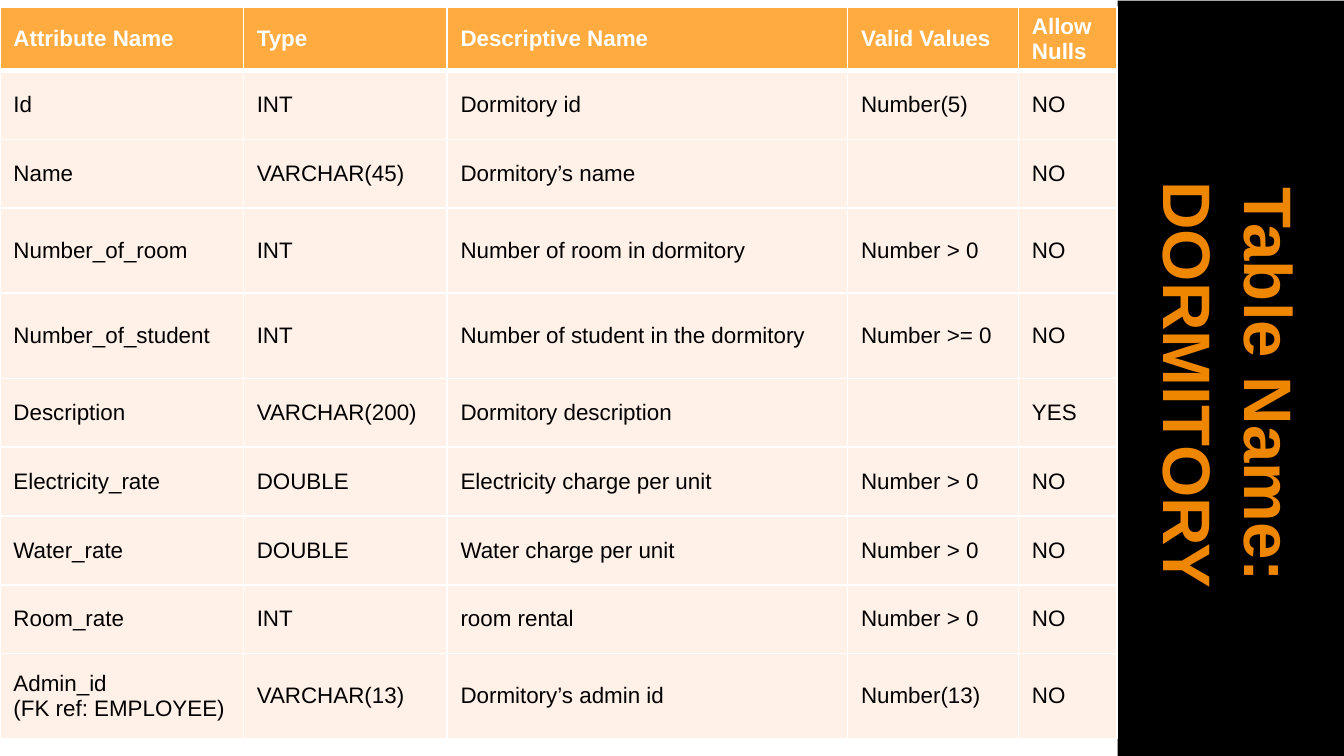
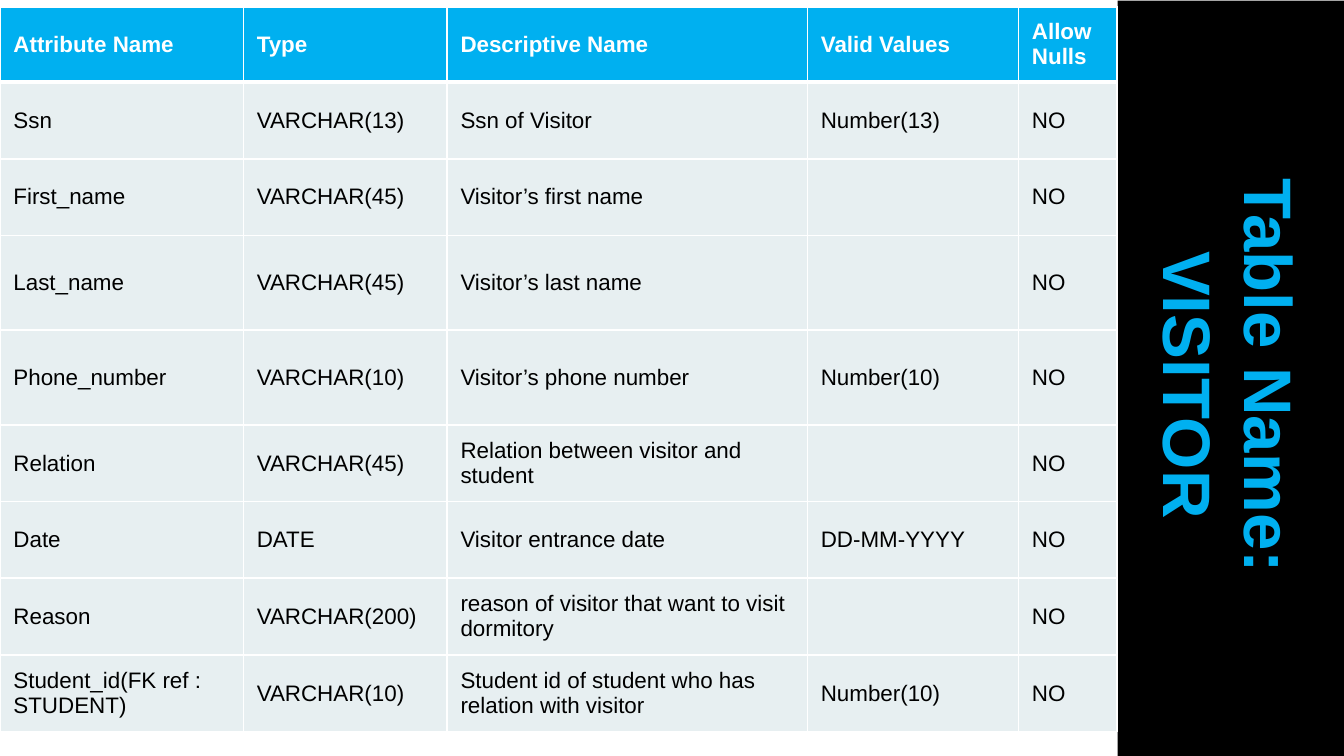
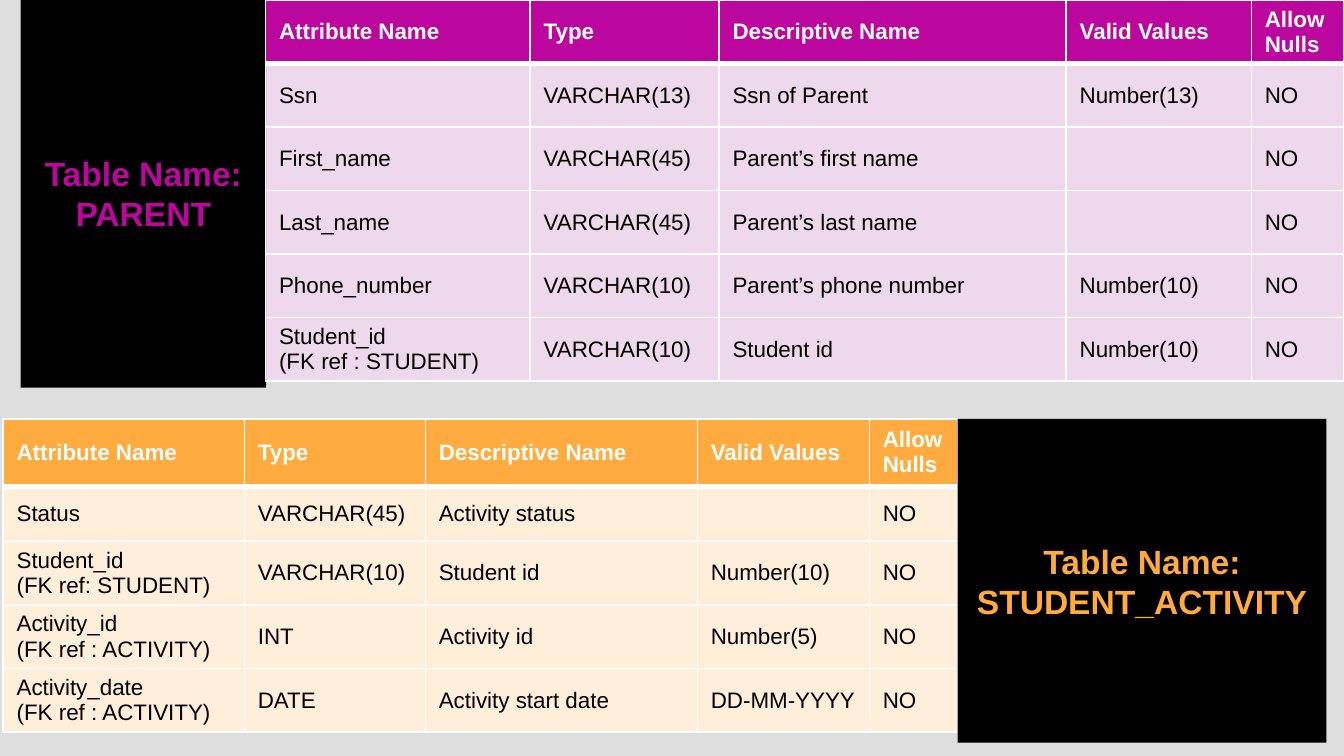
import pptx
import pptx.dml.color
import pptx.enum.shapes
import pptx.enum.text
import pptx.oxml
import pptx.oxml.ns
import pptx.util
from pptx.util import Cm

RGB = pptx.dml.color.RGBColor.from_string
ANCHOR = pptx.enum.text.MSO_ANCHOR
ALIGN = pptx.enum.text.PP_ALIGN
NS = pptx.oxml.ns.nsdecls("a")

THEME = {
    "font": "Arial",
    "white": "FFFFFF",
    "black": "000000",
    "grey": "DEDEDE",
    "dark_orange": "EF8600",
    "orange": "FFAB40",
    "blue": "00B0F0",
    "purple": "BC079F",
    "peach": "FFF1E8",
    "ice": "E7EFF1",
    "pink": "FED3F8",
    "cream": "FFEED9",
    "cell_size": 12,
    "band_size": 36,
    "box_size": 18,
    "thin": 1,
    "thick": 3,
    "outline": 0.75,
}

HEADER = ["Attribute Name", "Type", "Descriptive Name", "Valid Values", "Allow Nulls"]
BAND = (16, 5.13, 14.53, 4.29)

SLIDES = [
    {
        "bg": "white",
        "tables": [
            {
                "title": "Table Name: DORMITORY",
                "box": BAND, "rotation": 90, "size": "band_size", "title_color": "dark_orange",
                "head": "orange", "body": "peach", "alpha": 100,
                "at": (0, 0.13),
                "cols": [4.6, 3.85, 7.57, 3.23, 1.86],
                "heights": [0.91, 1.3, 1.3, 1.61, 1.61, 1.3, 1.3, 1.3, 1.3, 1.61],
                "rows": [
                    ["Id", "INT", "Dormitory id", "Number(5)", "NO"],
                    ["Name", "VARCHAR(45)", "Dormitory’s name", "", "NO"],
                    ["Number_of_room", "INT", "Number of room in dormitory", "Number > 0", "NO"],
                    ["Number_of_student", "INT", "Number of student in the dormitory", "Number >= 0", "NO"],
                    ["Description", "VARCHAR(200)", "Dormitory description", "", "YES"],
                    ["Electricity_rate", "DOUBLE", "Electricity charge per unit", "Number > 0", "NO"],
                    ["Water_rate", "DOUBLE", "Water charge per unit", "Number > 0", "NO"],
                    ["Room_rate", "INT", "room rental", "Number > 0", "NO"],
                    ["Admin_id\n(FK ref: EMPLOYEE)", "VARCHAR(13)", "Dormitory’s admin id", "Number(13)", "NO"],
                ],
            },
        ],
    },
    {
        "bg": "white",
        "tables": [
            {
                "title": "Table Name: \nVISITOR",
                "box": BAND, "rotation": 90, "size": "band_size", "title_color": "blue",
                "head": "blue", "body": "ice", "alpha": 100,
                "at": (0, 0.13),
                "cols": [4.6, 3.85, 6.81, 3.99, 1.86],
                "heights": [1.42, 1.45, 1.45, 1.79, 1.79, 1.45, 1.45, 1.45, 1.45],
                "rows": [
                    ["Ssn", "VARCHAR(13)", "Ssn of Visitor", "Number(13)", "NO"],
                    ["First_name", "VARCHAR(45)", "Visitor’s first name", "", "NO"],
                    ["Last_name", "VARCHAR(45)", "Visitor’s last name", "", "NO"],
                    ["Phone_number", "VARCHAR(10)", "Visitor’s phone number", "Number(10)", "NO"],
                    ["Relation", "VARCHAR(45)", "Relation between visitor and student", "", "NO"],
                    ["Date", "DATE", "Visitor entrance date", "DD-MM-YYYY", "NO"],
                    ["Reason", "VARCHAR(200)", "reason of visitor that want to visit dormitory", "", "NO"],
                    ["Student_id(FK ref : STUDENT)", "VARCHAR(10)",
                     "Student id of student who has relation with visitor", "Number(10)", "NO"],
                ],
            },
        ],
    },
    {
        "bg": "grey",
        "tables": [
            {
                "title": "Table Name: PARENT",
                "box": (0.39, -0.03, 4.64, 7.36), "rotation": 0, "size": "box_size", "title_color": "purple",
                "head": "purple", "body": "pink", "alpha": 50,
                "at": (5.02, 0),
                "cols": [5, 3.57, 6.56, 3.5, 1.74],
                "heights": [1.2] * 6,
                "rows": [
                    ["Ssn", "VARCHAR(13)", "Ssn of Parent", "Number(13)", "NO"],
                    ["First_name", "VARCHAR(45)", "Parent’s first name", "", "NO"],
                    ["Last_name", "VARCHAR(45)", "Parent’s last name", "", "NO"],
                    ["Phone_number", "VARCHAR(10)", "Parent’s phone number", "Number(10)", "NO"],
                    ["Student_id\n(FK ref : STUDENT)", "VARCHAR(10)", "Student id", "Number(10)", "NO"],
                ],
            },
            {
                "title": "Table Name: STUDENT_ACTIVITY",
                "box": (18.1, 7.92, 6.97, 6.12), "rotation": 0, "size": "box_size", "title_color": "orange",
                "head": "orange", "body": "cream", "alpha": 100,
                "at": (0.06, 7.92),
                "cols": [4.56, 3.42, 5.14, 3.25, 1.67],
                "heights": [1.27] + [1.04] * 4,
                "rows": [
                    ["Status", "VARCHAR(45)", "Activity status", "", "NO"],
                    ["Student_id\n(FK ref: STUDENT)", "VARCHAR(10)", "Student id", "Number(10)", "NO"],
                    ["Activity_id\n(FK ref : ACTIVITY)", "INT", "Activity id", "Number(5)", "NO"],
                    ["Activity_date\n(FK ref : ACTIVITY)", "DATE", "Activity start date", "DD-MM-YYYY", "NO"],
                ],
            },
        ],
    },
]


def write_text(tf, text, size, color, bold):
    tf.text = text
    for p in tf.paragraphs:
        for r in p.runs:
            fmt = {"name": THEME["font"], "size": pptx.util.Pt(THEME[size]), "bold": bold}
            for key, value in fmt.items():
                setattr(r.font, key, value)
            r.font.color.rgb = RGB(THEME[color])


def line_xml(tag, width):
    return pptx.oxml.parse_xml(
        f'<a:{tag} {NS} w="{pptx.util.Pt(width)}"><a:solidFill>'
        f'<a:srgbClr val="{THEME["white"]}"/></a:solidFill></a:{tag}>')


prs = pptx.Presentation()
prs.slide_width, prs.slide_height = Cm(25.4), Cm(14.29)

for page in SLIDES:
    s = prs.slides.add_slide(prs.slide_layouts[5])
    s.background.fill.solid()
    s.background.fill.fore_color.rgb = RGB(THEME[page["bg"]])

    for i, table in enumerate(page["tables"]):
        left, top = (Cm(v) for v in table["at"])
        rows = [HEADER] + table["rows"]
        tbl = s.shapes.add_table(len(rows), len(HEADER), left, top,
                                 Cm(sum(table["cols"])), Cm(sum(table["heights"]))).table
        tbl.horz_banding = False
        for col, width in zip(tbl.columns, table["cols"]):
            col.width = Cm(width)
        for row, height in zip(tbl.rows, table["heights"]):
            row.height = Cm(height)

        for y, row in enumerate(rows):
            is_head = y == 0
            widths = {"lnL": "thin", "lnR": "thin",
                      "lnT": "thick" if y == 1 else "thin",
                      "lnB": "thick" if is_head else "thin"}
            for x, text in enumerate(row):
                cell = tbl.cell(y, x)
                cell.vertical_anchor = ANCHOR.MIDDLE
                write_text(cell.text_frame, text, "cell_size", "white" if is_head else "black", is_head)
                tcPr = cell._tc.get_or_add_tcPr()
                for tag, width in widths.items():
                    tcPr.append(line_xml(tag, THEME[width]))
                cell.fill.solid()
                cell.fill.fore_color.rgb = RGB(THEME[table["head" if is_head else "body"]])
                if not is_head and table["alpha"] < 100:
                    clr = tcPr.find(pptx.oxml.ns.qn("a:solidFill"))[0]
                    clr.append(pptx.oxml.parse_xml(f'<a:alpha {NS} val="{table["alpha"] * 1000}"/>'))

        box = [Cm(v) for v in table["box"]]
        if i == 0:
            sp = s.shapes.title
        else:
            sp = s.shapes.add_shape(pptx.enum.shapes.MSO_SHAPE.RECTANGLE, *box)
        for key, value in zip(("left", "top", "width", "height"), box):
            setattr(sp, key, value)
        sp.rotation = table["rotation"]
        sp.shadow.inherit = False
        sp.fill.solid()
        sp.fill.fore_color.rgb = RGB(THEME["black"])
        sp.line.fill.background()
        tf = sp.text_frame
        fmt = {"word_wrap": True, "auto_size": pptx.enum.text.MSO_AUTO_SIZE.NONE,
               "vertical_anchor": ANCHOR.MIDDLE}
        for key, value in fmt.items():
            setattr(tf, key, value)
        write_text(tf, table["title"], table["size"], table["title_color"], True)
        for p in tf.paragraphs:
            p.alignment = ALIGN.CENTER
            for r in p.runs:
                r._r.get_or_add_rPr().insert(0, line_xml("ln", THEME["outline"]))

prs.save("out.pptx")
